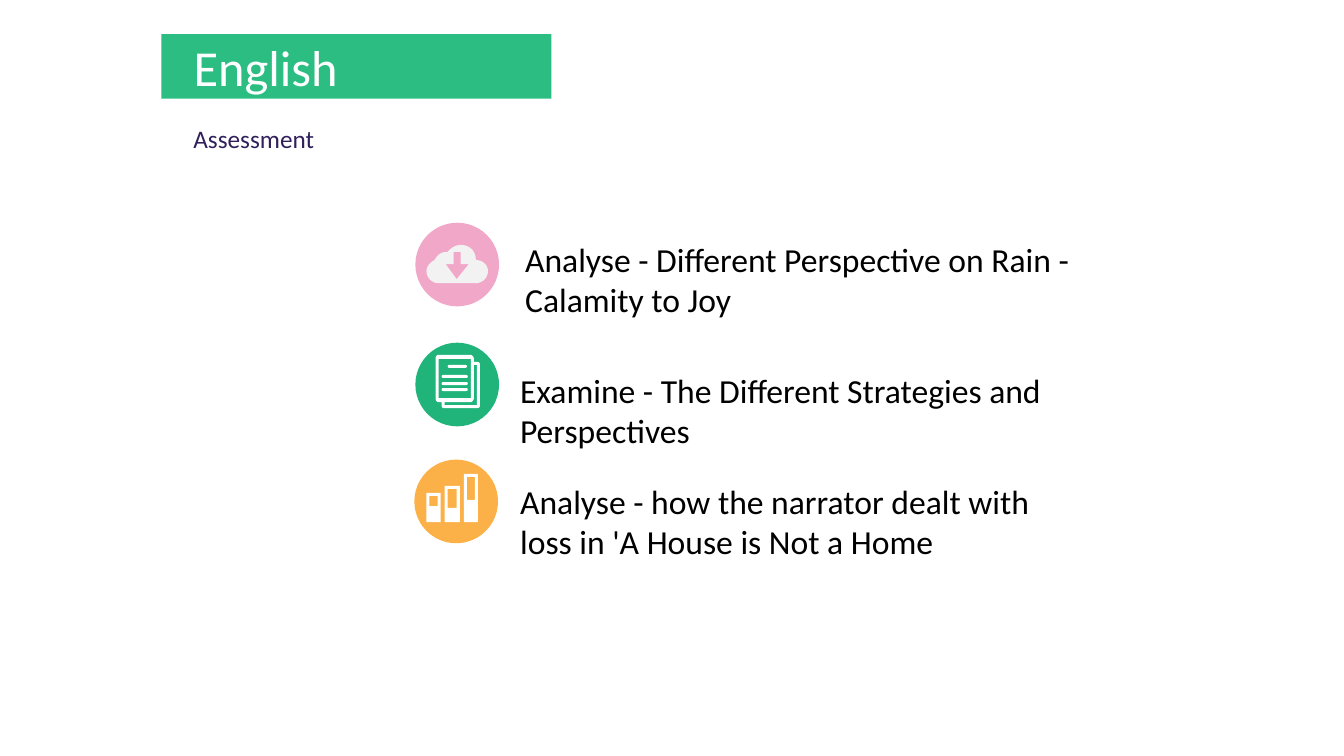
from lxml import etree
from pptx import Presentation
from pptx.dml.color import RGBColor
from pptx.enum.shapes import MSO_SHAPE
from pptx.enum.text import MSO_ANCHOR, MSO_AUTO_SIZE, PP_ALIGN
from pptx.oxml.ns import qn
from pptx.util import Pt

PX = 9144  # EMU in one px, 100 px to the inch
BANNER_GREEN = RGBColor(0x20, 0xBA, 0x7C)
PAGE_GREEN = RGBColor(0x20, 0xB3, 0x7A)
PINK = RGBColor(0xF1, 0xA7, 0xC8)
AMBER = RGBColor(0xFB, 0xB1, 0x48)
CLOUD_GREY = RGBColor(0xF2, 0xF2, 0xF2)
INDIGO = RGBColor(0x32, 0x20, 0x5C)
WHITE = RGBColor(0xFF, 0xFF, 0xFF)
BLACK = RGBColor(0, 0, 0)

# Each contour is a start point, then lines (x, y) and curves (three points).
CLOUD = [
    [(472, 258), (472, 249, 466, 243, 457, 243), (452, 243, 447, 246, 444, 250),
     (443, 250, 443, 250, 442, 250), (437, 250, 433, 254, 431, 258),
     (427, 260, 423, 264, 423, 269), (423, 275, 428, 281, 435, 281),
     (472, 281), (479, 281, 484, 275, 484, 269), (484, 263, 479, 258, 472, 258)],
    [(453, 277), (442, 262), (450, 262), (450, 250), (457, 250), (457, 262), (465, 262)],
]
PAGES = [
    [(473, 359), (470, 359), (470, 356), (470, 354, 468, 352, 467, 352), (435, 352),
     (433, 352, 432, 354, 432, 356), (432, 395), (432, 397, 433, 399, 435, 399),
     (438, 399), (438, 402), (438, 404, 439, 405, 441, 405), (473, 405),
     (475, 405, 476, 404, 476, 402), (476, 362), (476, 360, 475, 359, 473, 359)],
    [(435, 395), (435, 356), (467, 356), (467, 395)],
    [(473, 402), (441, 402), (441, 399), (467, 399), (468, 399, 470, 397, 470, 395),
     (470, 362), (473, 362)],
]


def paint(shape, colour):
    shape.shadow.inherit = False
    shape.fill.solid()
    shape.fill.fore_color.rgb = colour
    shape.line.fill.background()


def draw_outline(icon, contours, colour):
    """Add one freeform to the icon; later contours cut holes in the first."""
    builder = None
    for start, *steps in contours:
        points, (x0, y0) = [], start
        for step in steps:
            if len(step) == 2:
                points.append(step)
            else:
                x1, y1, x2, y2, x3, y3 = step
                for t in (i / 8 for i in range(1, 9)):
                    a, b, c, d = (1 - t) ** 3, 3 * t * (1 - t) ** 2, 3 * t * t * (1 - t), t ** 3
                    points.append((a * x0 + b * x1 + c * x2 + d * x3,
                                   a * y0 + b * y1 + c * y2 + d * y3))
            x0, y0 = step[-2:]
        if builder is None:
            builder = icon.shapes.build_freeform(start[0] * PX, start[1] * PX)
        else:
            builder.move_to(start[0] * PX, start[1] * PX)
        builder.add_line_segments([(x * PX, y * PX) for x, y in points], close=True)
    paint(builder.convert_to_shape(), colour)


prs = Presentation()
prs.slide_width, prs.slide_height = 1333 * PX, 750 * PX
slide = prs.slides.add_slide(prs.slide_layouts[5])

banner = slide.shapes.add_shape(MSO_SHAPE.RECTANGLE, 160 * PX, 34 * PX, 387 * PX, 64 * PX)
paint(banner, BANNER_GREEN)
banner_colour = banner.element.spPr.find(qn("a:solidFill"))[0]
etree.SubElement(banner_colour, qn("a:alpha")).set("val", "95000")

# The title placeholder goes in front of its banner.
title = slide.shapes.title
title.element.getparent().append(title.element)

texts = [
    (title, "English", 182, 31, 350, 68, 36, WHITE),
    (None, "Examine - The Different Strategies and Perspectives", 506, 362, 593, 88, 24, BLACK),
    (None, "Analyse - Different Perspective on Rain - Calamity to Joy",
     511, 232, 567, 88, 24, BLACK),
    (None, "Analyse - how the narrator dealt with loss in 'A House is Not a Home",
     506, 472, 579, 88, 24, BLACK),
    (None, "Assessment", 182, 117, 903, 40, 18, INDIGO),
]
for holder, wording, left, top, width, height, size, colour in texts:
    holder = holder or slide.shapes.add_textbox(0, 0, PX, PX)
    holder.left, holder.top = left * PX, top * PX
    holder.width, holder.height = width * PX, height * PX
    frame = holder.text_frame
    frame.word_wrap = True
    frame.auto_size = MSO_AUTO_SIZE.SHAPE_TO_FIT_TEXT
    frame.vertical_anchor = MSO_ANCHOR.TOP
    frame.paragraphs[0].alignment = PP_ALIGN.LEFT
    run = frame.paragraphs[0].add_run()
    run.text = wording
    run.font.name = "Calibri"
    run.font.size = Pt(size)
    run.font.color.rgb = colour

icons = []
for left, top, colour in [(412, 221, PINK), (411, 456, AMBER), (412, 340, PAGE_GREEN)]:
    icon = slide.shapes.add_group_shape()
    paint(icon.shapes.add_shape(MSO_SHAPE.OVAL, left * PX, top * PX, 83 * PX, 83 * PX), colour)
    icons.append(icon)
cloud_icon, binder_icon, pages_icon = icons

draw_outline(cloud_icon, CLOUD, CLOUD_GREY)

# Three binders share a base line; each has a label window near its top.
for left, right, top, window_bottom in [(423, 437, 489, 502), (441, 456, 482, 504),
                                        (460, 474, 470, 496)]:
    boxes = [(left, top, right, 518), (left + 3, top + 3, right - 3, window_bottom)]
    draw_outline(binder_icon, [[(x0, y0), (x1, y0), (x1, y1), (x0, y1)]
                               for x0, y0, x1, y1 in boxes], WHITE)

draw_outline(pages_icon, PAGES, WHITE)
for left, top, width in [(444, 362, 19), (438, 372, 26), (438, 379, 26), (438, 385, 26)]:
    text_line = pages_icon.shapes.add_shape(MSO_SHAPE.ROUNDED_RECTANGLE,
                                            left * PX, top * PX, width * PX, 3 * PX)
    text_line.adjustments[0] = 0.5
    paint(text_line, WHITE)

prs.save("out.pptx")
